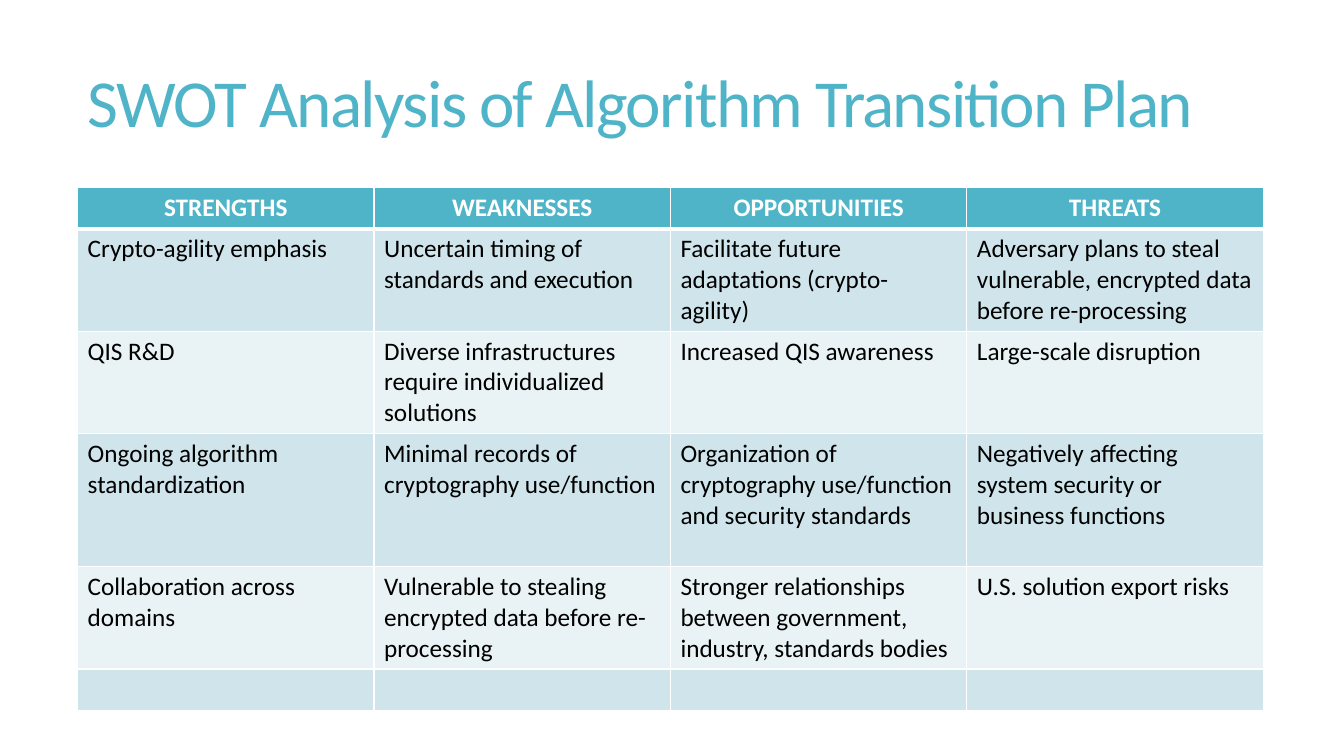
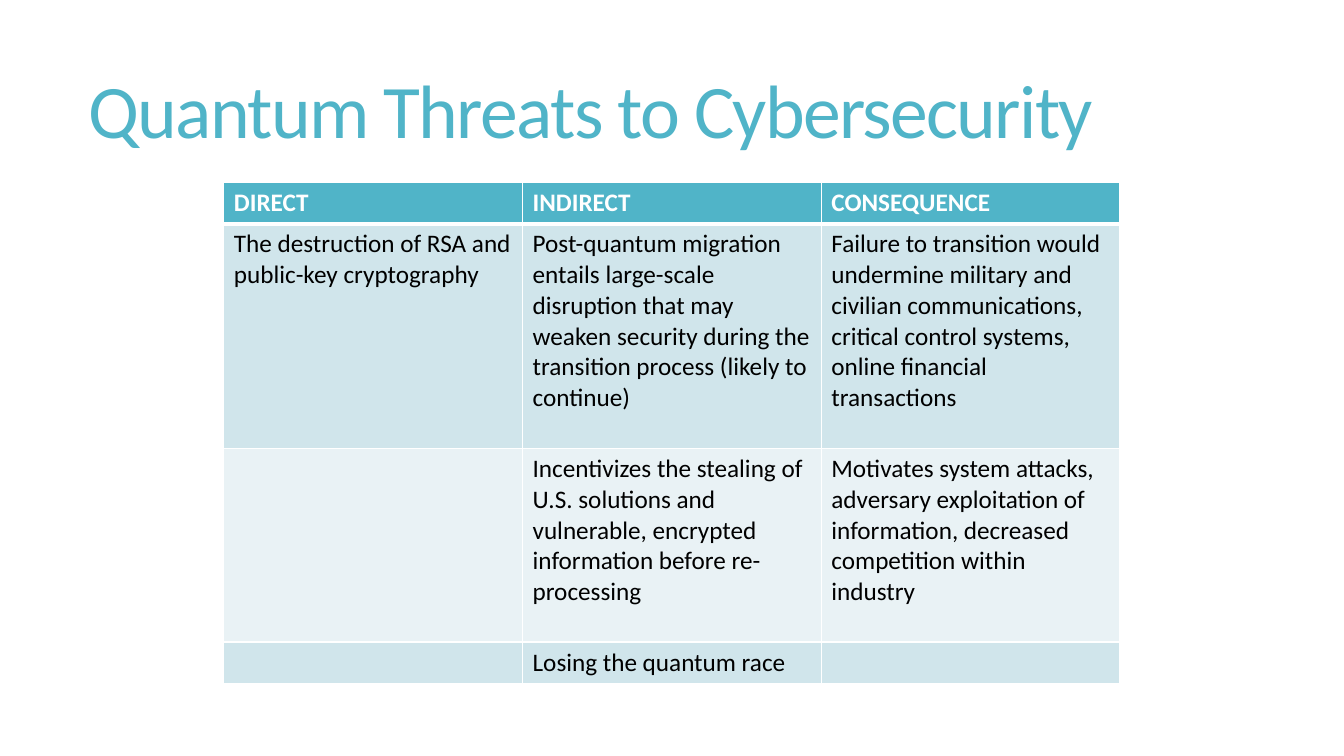
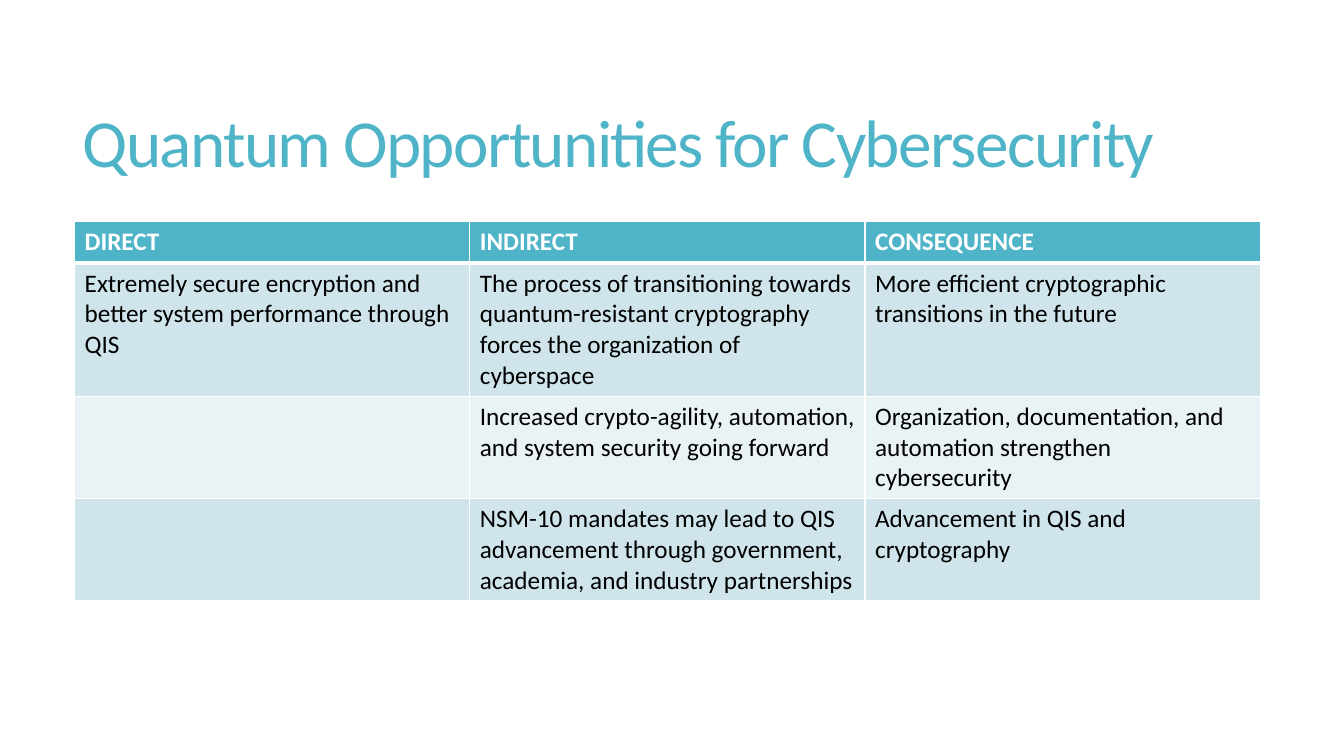
import pptx
import pptx.dml.color
import pptx.enum.text
import pptx.oxml
import pptx.oxml.ns
import pptx.util

Inches = pptx.util.Inches
Pt = pptx.util.Pt

FONT = "Calibri"
TEAL = "50B4C8"
BANDS = ("D0E5EB", "E9F2F5")
WHITE = "FFFFFF"
BLACK = "000000"
TITLE_SIZE = (11.78, 1.81)
LEFT = pptx.enum.text.PP_ALIGN.LEFT
CENTER = pptx.enum.text.PP_ALIGN.CENTER

# Each slide: title, its place and size, then the table's box, rows and row heights
SLIDES = [
    dict(
        title="SWOT Analysis of Algorithm Transition Plan",
        title_at=(0.77, 0.16), title_points=48,
        table_at=(0.77, 1.86), table_width=11.76, header_align=CENTER,
        heights=[0.41, 1.01, 1.01, 1.32, 1.01, 0.41],
        rows=[
            ["STRENGTHS", "WEAKNESSES", "OPPORTUNITIES", "THREATS"],
            ["Crypto-agility emphasis",
             "Uncertain timing of standards and execution",
             "Facilitate future adaptations (crypto-agility)",
             "Adversary plans to steal vulnerable, encrypted data before re-processing"],
            ["QIS R&D",
             "Diverse infrastructures require individualized solutions",
             "Increased QIS awareness",
             "Large-scale disruption"],
            ["Ongoing algorithm standardization",
             "Minimal records of cryptography use/function",
             "Organization of cryptography use/function and security standards",
             "Negatively affecting system security or business functions"],
            ["Collaboration across domains",
             "Vulnerable to stealing encrypted data before re-processing",
             "Stronger relationships between government, industry, standards bodies",
             "U.S. solution export risks"],
            ["", "", "", ""],
        ],
    ),
    dict(
        title="Quantum Threats to Cybersecurity",
        title_at=(0.78, 0.24), title_points=54,
        table_at=(2.22, 1.81), table_width=8.89, header_align=LEFT,
        heights=[0.41, 2.23, 1.92, 0.41],
        rows=[
            ["DIRECT", "INDIRECT", "CONSEQUENCE"],
            ["The destruction of RSA and public-key cryptography",
             "Post-quantum migration entails large-scale disruption that may weaken "
             "security during the transition process (likely to continue)",
             "Failure to transition would undermine military and civilian communications, "
             "critical control systems, online financial transactions"],
            ["",
             "Incentivizes the stealing of U.S. solutions and vulnerable, encrypted "
             "information before re-processing",
             "Motivates system attacks, adversary exploitation of information, "
             "decreased competition within industry"],
            ["", "Losing the quantum race", ""],
        ],
    ),
    dict(
        title="Quantum Opportunities for Cybersecurity",
        title_at=(0.72, 0.55), title_points=48,
        table_at=(0.74, 2.2), table_width=11.76, header_align=LEFT,
        heights=[0.41, 1.32, 1.01, 1.01],
        rows=[
            ["DIRECT", "INDIRECT", "CONSEQUENCE"],
            ["Extremely secure encryption and better system performance through QIS",
             "The process of transitioning towards quantum-resistant cryptography "
             "forces the organization of cyberspace",
             "More efficient cryptographic transitions in the future"],
            ["",
             "Increased crypto-agility, automation, and system security going forward",
             "Organization, documentation, and automation strengthen cybersecurity"],
            ["",
             "NSM-10 mandates may lead to QIS advancement through government, "
             "academia, and industry partnerships",
             "Advancement in QIS and cryptography"],
        ],
    ),
]


def rgb(color):
    return pptx.dml.color.RGBColor.from_string(color)


def format_runs(paragraph, points, color, bold=False):
    for run in paragraph.runs:
        run.font.name = FONT
        run.font.size = Pt(points)
        run.font.bold = bold
        run.font.color.rgb = rgb(color)


def add_title(slide, text, at, points):
    title = slide.shapes.title
    title.left, title.top = (Inches(v) for v in at)
    title.width, title.height = (Inches(v) for v in TITLE_SIZE)
    frame = title.text_frame
    frame.text = text
    frame.word_wrap = True
    frame.auto_size = pptx.enum.text.MSO_AUTO_SIZE.NONE
    frame.vertical_anchor = pptx.enum.text.MSO_ANCHOR.MIDDLE
    heading = frame.paragraphs[0]
    heading.alignment = LEFT
    heading.line_spacing = 0.85
    format_runs(heading, points, TEAL)
    # Tighten the letters by 1.2 points
    for run in heading.runs:
        run._r.get_or_add_rPr().set("spc", "-120")


def set_borders(cell, top, bottom):
    properties = cell._tc.get_or_add_tcPr()
    for side, points in (("L", 1), ("R", 1), ("T", top), ("B", bottom)):
        properties.append(pptx.oxml.parse_xml(
            f'<a:ln{side} {pptx.oxml.ns.nsdecls("a")} w="{Pt(points)}">'
            f'<a:solidFill><a:srgbClr val="{WHITE}"/></a:solidFill></a:ln{side}>'))


def add_banded_table(slide, rows, at, width, heights, header_align):
    left, top = at
    columns = len(rows[0])
    table = slide.shapes.add_table(
        len(rows), columns, Inches(left), Inches(top),
        Inches(width), Inches(sum(heights))).table
    for column in table.columns:
        column.width = Inches(width / columns)
    for i, (texts, height) in enumerate(zip(rows, heights)):
        table.rows[i].height = Inches(height)
        header = i == 0
        for j, text in enumerate(texts):
            cell = table.cell(i, j)
            # A thick rule divides the header from the body
            set_borders(cell, 3 if i == 1 else 1, 3 if header else 1)
            cell.fill.solid()
            cell.fill.fore_color.rgb = rgb(TEAL if header else BANDS[(i - 1) % 2])
            if text:
                cell.text_frame.text = text
                entry = cell.text_frame.paragraphs[0]
                entry.alignment = header_align if header else LEFT
                format_runs(entry, 18, WHITE if header else BLACK, bold=header)


def add_table_slide(deck, content):
    slide = deck.slides.add_slide(deck.slide_layouts[5])
    add_title(slide, content["title"], content["title_at"], content["title_points"])
    add_banded_table(slide, content["rows"], content["table_at"],
                     content["table_width"], content["heights"],
                     content["header_align"])


def main():
    deck = pptx.Presentation()
    deck.slide_width = Inches(13.33)
    deck.slide_height = Inches(7.5)
    for content in SLIDES:
        add_table_slide(deck, content)
    deck.save("out.pptx")


if __name__ == "__main__":
    main()
